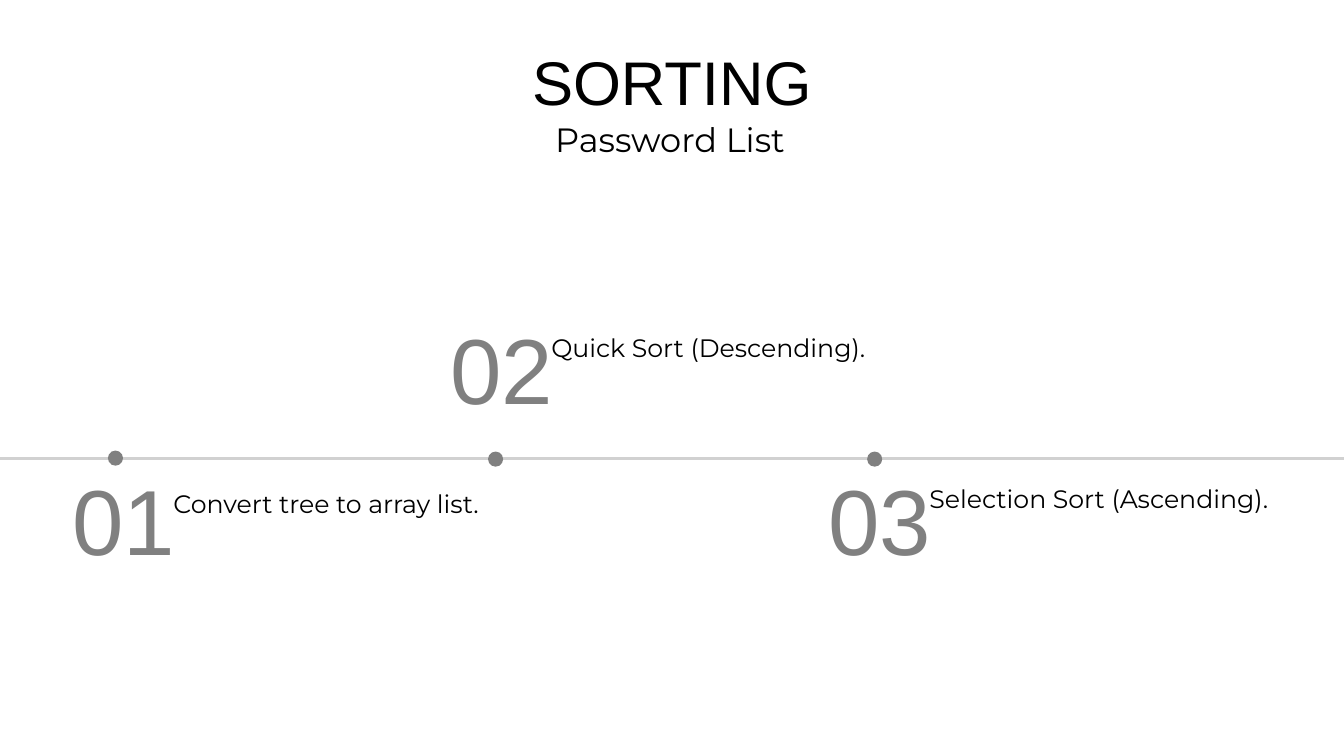
import dataclasses

import lxml.etree
import pptx
import pptx.dml.color
import pptx.enum.shapes
import pptx.enum.text
import pptx.oxml.ns
import pptx.util

PX = 9144  # EMU per px, 100 px to the inch


@dataclasses.dataclass(frozen=True)
class Theme:
    ink: str = "000000"
    accent: str = "808080"
    rail: str = "D1D1D1"
    heading_font: str = "Arial"
    body_font: str = "Montserrat"
    title_size: int = 44
    subtitle_size: int = 24
    number_size: int = 66
    label_size: int = 18
    rail_width: float = 2.25


THEME = Theme()
LEFT = pptx.enum.text.PP_ALIGN.LEFT
CENTER = pptx.enum.text.PP_ALIGN.CENTER


def rgb(color):
    return pptx.dml.color.RGBColor.from_string(color)


def px(*lengths):
    return [pptx.util.Emu(length * PX) for length in lengths]


def write(slide, text, box, *, size, font=THEME.body_font, color=THEME.ink,
          align=LEFT, holder=None):
    """Write text in a new text box, or in the given placeholder."""
    if holder is None:
        holder = slide.shapes.add_textbox(*px(*box))
    else:
        holder.left, holder.top, holder.width, holder.height = px(*box)
    frame = holder.text_frame
    frame.word_wrap = True
    frame.auto_size = pptx.enum.text.MSO_AUTO_SIZE.SHAPE_TO_FIT_TEXT
    frame.vertical_anchor = pptx.enum.text.MSO_ANCHOR.TOP
    paragraph = frame.paragraphs[0]
    paragraph.alignment = align
    run = paragraph.add_run()
    run.text = text
    run.font.name = font
    run.font.size = pptx.util.Pt(size)
    run.font.color.rgb = rgb(color)


def add_heading(slide, box, title, subtitle):
    left, top, width, height = box
    write(slide, title, (left, top, width, 84), size=THEME.title_size,
          font=THEME.heading_font, align=CENTER, holder=slide.shapes.title)
    write(slide, subtitle, (left - 2, top + height - 50, width, 50),
          size=THEME.subtitle_size, align=CENTER)


def add_rail(slide, left, right, y):
    rail = slide.shapes.add_connector(
        pptx.enum.shapes.MSO_CONNECTOR.STRAIGHT, *px(left, y, right, y))
    rail.line.color.rgb = rgb(THEME.rail)
    rail.line.width = pptx.util.Pt(THEME.rail_width)
    lxml.etree.SubElement(rail._element.spPr, pptx.oxml.ns.qn("a:effectLst"))


def add_dot(slide, left, top, diameter=15):
    dot = slide.shapes.add_shape(pptx.enum.shapes.MSO_SHAPE.OVAL,
                                 *px(left, top, diameter, diameter))
    dot.shadow.inherit = False
    dot.fill.solid()
    dot.fill.fore_color.rgb = rgb(THEME.accent)
    dot.line.fill.background()


def add_step(slide, box, number, label, label_drop):
    left, top, width, height = box
    write(slide, f"{number:02}", (left, top, 147, height),
          size=THEME.number_size, font=THEME.heading_font, color=THEME.accent)
    write(slide, label, (left + 100, top + label_drop, width - 100, 40),
          size=THEME.label_size)


def add_timeline(slide, box, steps):
    left, top, width, height = box
    rail_y = top + 150
    pitch = 375
    add_rail(slide, left, left + width, rail_y)
    for index, (label, step_top, label_drop, dot_left, dot_rise) in enumerate(steps):
        add_dot(slide, dot_left, rail_y - dot_rise)
        add_step(slide, (62 + index * pitch, top + step_top, 475, 121),
                 index + 1, label, label_drop)


def main():
    deck = pptx.Presentation()
    deck.slide_width, deck.slide_height = px(1333, 750)
    slide = deck.slides.add_slide(deck.slide_layouts.get_by_name("Title Only"))

    # Heading
    add_heading(slide, (329, 39, 675, 124), "SORTING", "Password List")

    # Timeline: label, step top, label drop, dot left, dot rise above the rail
    add_timeline(slide, (-92, 305, 1513, 271), [
        ("Convert tree to array list.", 150, 25, 107, 8),
        ("Quick Sort (Descending).", 0, 20, 484, 7),
        ("Selection Sort (Ascending).", 150, 20, 860, 7),
    ])
    deck.save("out.pptx")


if __name__ == "__main__":
    main()
